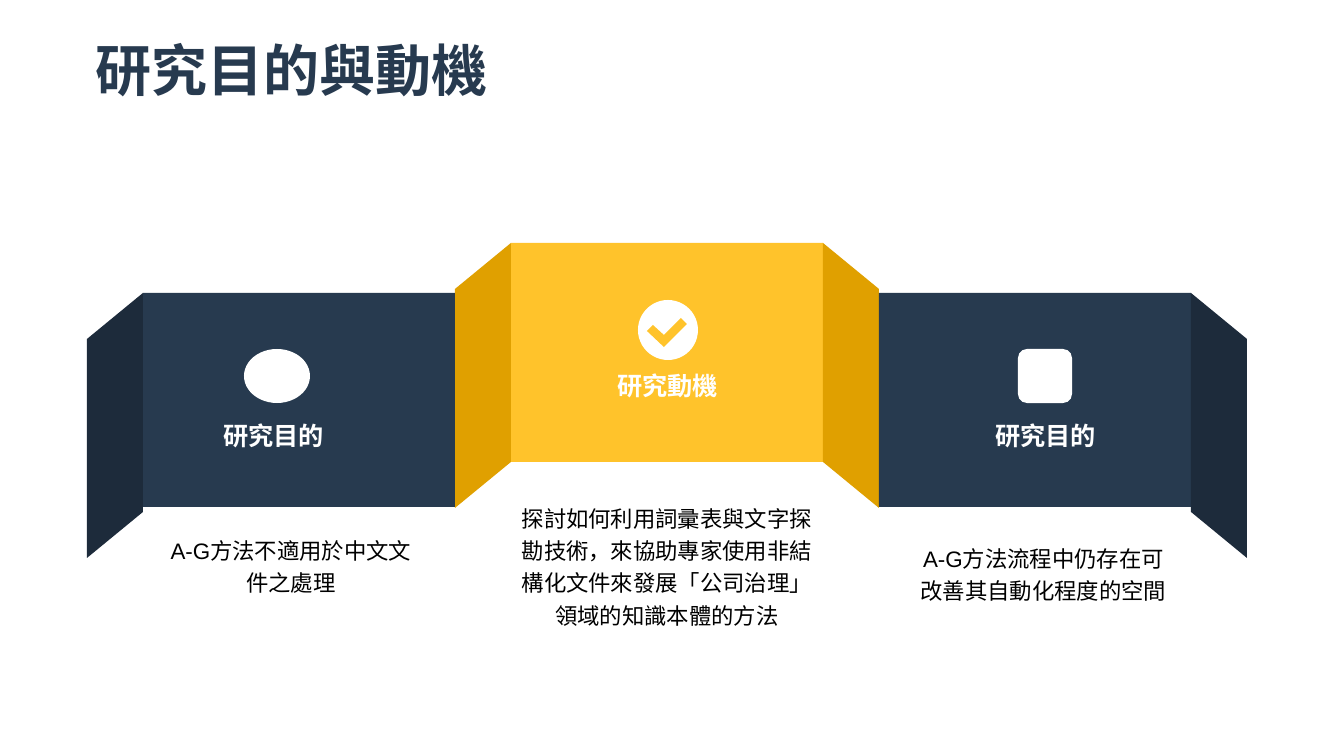
import dataclasses

import lxml.etree
import pptx
import pptx.dml.color
import pptx.enum.shapes
import pptx.enum.text
import pptx.oxml.ns
import pptx.util

SHAPE = pptx.enum.shapes.MSO_SHAPE
ALIGN = pptx.enum.text.PP_ALIGN
ANCHOR = pptx.enum.text.MSO_ANCHOR


@dataclasses.dataclass(frozen=True)
class Theme:
    """Colours, fonts and type sizes of the slide."""
    navy: str = "273A4F"
    navy_fold: str = "1D2B3B"
    amber: str = "FFC32B"
    amber_fold: str = "E0A000"
    white: str = "FFFFFF"
    black: str = "000000"
    title_font: str = "Noto Sans CJK SC"
    text_font: str = "Arial"
    title_size: int = 40
    label_size: int = 18
    body_size: int = 16


THEME = Theme()
FOLD_W, FOLD_H, FOLD_SLANT = 56, 265, 46
CHECK = [(9, 31), (15, 25), (26, 35), (43, 18), (49, 24), (26, 47)]


def px(n):
    """Turn pixels into EMU."""
    return round(n * 914400 / 100.8)


def paint(sp, color):
    """Give a shape a flat fill without line or shadow."""
    sp.shadow.inherit = False
    sp.fill.solid()
    sp.fill.fore_color.rgb = pptx.dml.color.RGBColor.from_string(color)
    sp.line.fill.background()


def add_block(s, kind, box, color):
    """Add a flat preset shape."""
    sp = s.shapes.add_shape(kind, *map(px, box))
    paint(sp, color)
    return sp


def add_text(s, box, text, size, color, font=THEME.text_font, bold=False,
             align=ALIGN.CENTER, spacing=1.0, wrap=True, inset=(0, 0)):
    """Add a vertically centred text box with one paragraph."""
    tf = s.shapes.add_textbox(*map(px, box)).text_frame
    tf.text = text
    tf.word_wrap = wrap
    tf.vertical_anchor = ANCHOR.MIDDLE
    tf.margin_left = tf.margin_right = px(inset[0])
    tf.margin_top = tf.margin_bottom = px(inset[1])
    p = tf.paragraphs[0]
    p.alignment, p.line_spacing = align, spacing
    r = p.runs[0]
    r.font.size, r.font.bold, r.font.name = pptx.util.Pt(size), bold, font
    r.font.color.rgb = pptx.dml.color.RGBColor.from_string(color)
    ea = lxml.etree.SubElement(r.font._element, pptx.oxml.ns.qn("a:ea"))
    ea.set("typeface", font)


def add_fold(s, x, y, color, left):
    """Add a slanted fold whose upper corner touches a panel."""
    cx, cy = x + FOLD_W / 2, y + FOLD_H / 2
    box = (cx - FOLD_H / 2, cy - FOLD_W / 2, FOLD_H, FOLD_W)
    sp = add_block(s, SHAPE.PARALLELOGRAM, box, color)
    sp.adjustments[0] = FOLD_SLANT / FOLD_W
    sp.rotation = 270 if left else 90
    if left:
        sp.element.spPr.find(pptx.oxml.ns.qn("a:xfrm")).set("flipV", "1")


def add_check(s, x, y):
    """Add the tick inside the round icon."""
    points = [(px(x + dx), px(y + dy)) for dx, dy in CHECK]
    builder = s.shapes.build_freeform(*points[0], scale=1.0)
    builder.add_line_segments(points[1:], close=True)
    paint(builder.convert_to_shape(), THEME.amber)


def add_panel(s, box, color, fold_color, folds, icon, label, body):
    """Add a panel with its folds, icon, label and text below."""
    x, y, w, h = box
    add_block(s, SHAPE.RECTANGLE, box, color)
    if "left" in folds:
        add_fold(s, x - FOLD_W, y, fold_color, True)
    if "right" in folds:
        add_fold(s, x + w, y, fold_color, False)
    kind, dx, dy, icon_w, icon_h = icon
    add_block(s, kind, (x + dx, y + dy, icon_w, icon_h), THEME.white)
    if kind == SHAPE.OVAL and icon_w == icon_h:
        add_check(s, x + dx, y + dy)
    text, dx = label
    add_text(s, (x + dx, y + 124, 223, 36), text, THEME.label_size,
             THEME.white, bold=True, wrap=False)
    text, dx, dy, body_w = body
    add_text(s, (x + dx, y + dy, body_w, 64), text, THEME.body_size,
             THEME.black, spacing=1.2)


def add_title(s, box):
    """Add the slide heading."""
    add_text(s, box, "研究目的與動機", THEME.title_size, THEME.navy,
             font=THEME.title_font, bold=True, align=ALIGN.LEFT,
             spacing=0.9, inset=(10, 5))


def add_ribbon(s, x, y):
    """Add the three panels of the folded ribbon."""
    step = 312 + FOLD_W
    add_panel(s, (x + step, y, 312, 219), THEME.amber, THEME.amber_fold,
              ("left", "right"), (SHAPE.OVAL, 127, 57, 60, 60),
              ("研究動機", 45),
              ("探討如何利用詞彚表與文字探勘技術，來協助專家使用非結構化文件來發展"
               "「公司治理」領域的知識本體的方法", 0, 289, 312))
    add_panel(s, (x + 2 * step, y + 50, 312, 214), THEME.navy,
              THEME.navy_fold, ("right",),
              (SHAPE.ROUNDED_RECTANGLE, 139, 56, 54, 54), ("研究目的", 55),
              ("A-G方法流程中仍存在可改善其自動化程度的空間", 34, 247, 261))
    add_panel(s, (x, y + 50, 312, 214), THEME.navy, THEME.navy_fold,
              ("left",), (SHAPE.OVAL, 101, 56, 66, 54), ("研究目的", 19),
              ("A-G方法不適用於中文文件之處理", 26, 239, 244))


def main():
    """Build and save the slide."""
    prs = pptx.Presentation()
    prs.slide_width, prs.slide_height = px(1344), px(756)
    s = prs.slides.add_slide(prs.slide_layouts[6])
    add_title(s, (86, 0, 1159, 146))
    add_ribbon(s, 143, 243)
    prs.save("out.pptx")


if __name__ == "__main__":
    main()
